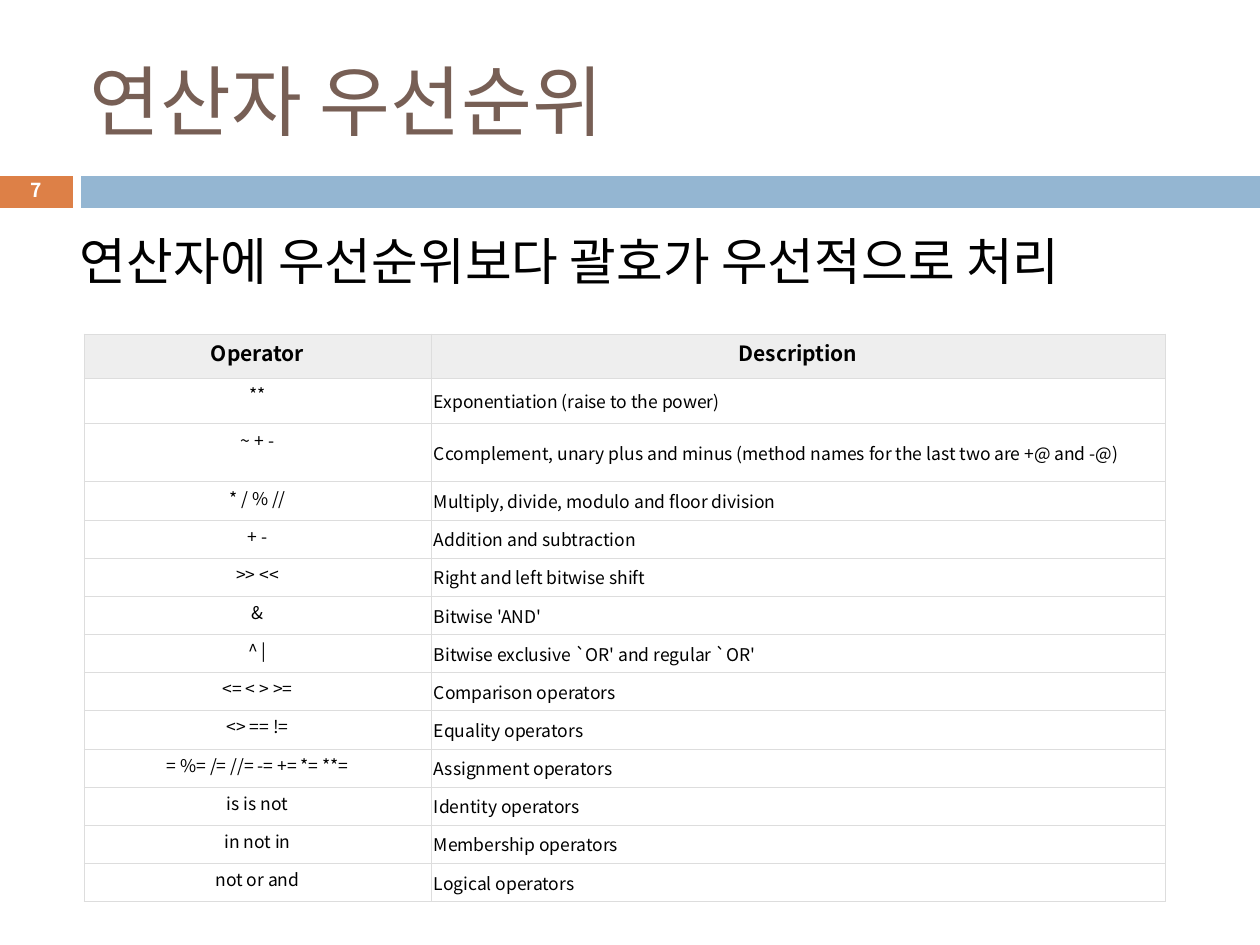
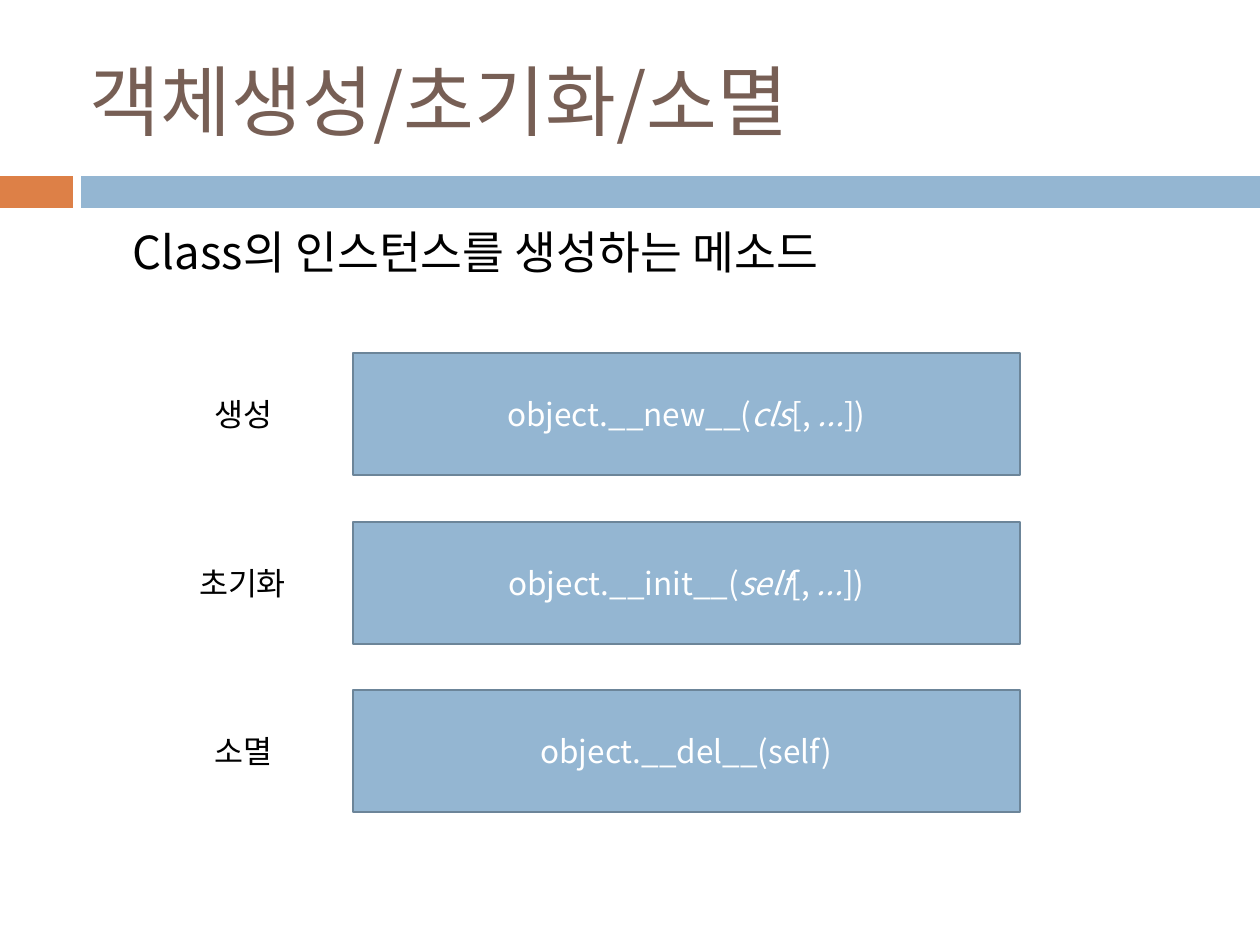
from dataclasses import dataclass

from lxml import etree
from pptx import Presentation
from pptx import util as u
from pptx.dml.color import RGBColor
from pptx.enum import shapes, text
from pptx.oxml import ns

PIXEL = u.Inches(1) / 126
FONT = "Noto Sans CJK KR"
WHITE = RGBColor(0xFF, 0xFF, 0xFF)
BLACK = RGBColor(0x00, 0x00, 0x00)
BROWN = RGBColor(0x77, 0x5F, 0x55)
ORANGE = RGBColor(0xDD, 0x80, 0x47)
BLUE = RGBColor(0x94, 0xB6, 0xD2)
BLUE_EDGE = RGBColor(0x6C, 0x85, 0x99)
HEADER_GRAY = RGBColor(0xEE, 0xEE, 0xEE)
BORDER_GRAY = RGBColor(0xDD, 0xDD, 0xDD)
LEFT, CENTER = text.PP_ALIGN.LEFT, text.PP_ALIGN.CENTER
TOP, MIDDLE = text.MSO_ANCHOR.TOP, text.MSO_ANCHOR.MIDDLE


@dataclass(frozen=True)
class Box:
    left: int
    top: int
    width: int
    height: int

    def emu(self) -> tuple:
        return tuple(px(value) for value in (self.left, self.top, self.width, self.height))


@dataclass(frozen=True)
class Style:
    size: int
    color: RGBColor = BLACK
    bold: bool = False
    align: int = LEFT
    anchor: int = TOP
    wrap: bool = True


@dataclass(frozen=True)
class Method:
    label: str
    label_left: int
    label_width: int
    signature: tuple


TITLE_BOX = Box(84, 32, 1124, 136)
BANDS = ((Box(0, 176, 73, 32), ORANGE), (Box(81, 176, 1179, 32), BLUE))
TITLE = Style(44, BROWN, anchor=MIDDLE)
PAGE_NUMBER = Style(11, WHITE, bold=True, align=CENTER, anchor=MIDDLE, wrap=False)
HEADER_CELL = Style(12, bold=True, align=CENTER)
OPERATOR_CELL = Style(10, align=CENTER)
DESCRIPTION_CELL = Style(10, anchor=MIDDLE)
SIGNATURE = Style(18, WHITE, align=CENTER, anchor=MIDDLE)
LABEL = Style(18, wrap=False)

TABLE_BOX = Box(84, 334, 1081, 568)
COLUMN_WIDTHS = (347, 734)
FIRST_ROW_HEIGHTS = (44, 46, 58)
ROW_HEIGHT = 38
OPERATORS = (
    ("Operator", "Description"),
    ("**", "Exponentiation (raise to the power)"),
    ("~ + -", "Ccomplement, unary plus and minus "
              "(method names for the last two are +@ and -@)"),
    ("* / % //", "Multiply, divide, modulo and floor division"),
    ("+ -", "Addition and subtraction"),
    (">> <<", "Right and left bitwise shift"),
    ("&", "Bitwise 'AND'"),
    ("^ |", "Bitwise exclusive `OR' and regular `OR'"),
    ("<= < > >=", "Comparison operators"),
    ("<> == !=", "Equality operators"),
    ("= %= /= //= -= += *= **=", "Assignment operators"),
    ("is is not", "Identity operators"),
    ("in not in", "Membership operators"),
    ("not or and", "Logical operators"),
)

METHOD_TOP, METHOD_PITCH = 353, 168.5
METHODS = (
    Method("생성", 209, 77, ("object.__new__(", "cls", "[,\u00a0", "...", "])")),
    Method("초기화", 193, 108, ("object.__init__(", "self", "[,\u00a0", "...", "])")),
    Method("소멸", 209, 77, ("object.__del__(self)",)),
)


def px(value: float) -> int:
    return round(value * PIXEL)


def format_run(run, style: Style, italic: bool = False) -> None:
    font = run.font
    font.name = FONT
    font.size = u.Pt(style.size)
    font.bold = style.bold
    font.italic = italic
    font.color.rgb = style.color
    east_asian = etree.SubElement(run._r.get_or_add_rPr(), ns.qn("a:ea"))
    east_asian.set("typeface", FONT)


def format_frame(frame, style: Style) -> None:
    frame.margin_left = frame.margin_right = px(6)
    frame.margin_top = frame.margin_bottom = px(6)
    frame.word_wrap = style.wrap
    frame.auto_size = text.MSO_AUTO_SIZE.NONE
    frame.vertical_anchor = style.anchor
    paragraph = frame.paragraphs[0]
    paragraph.alignment = style.align
    for run in paragraph.runs:
        format_run(run, style)


def add_text(slide, box: Box, content: str, style: Style):
    shape = slide.shapes.add_textbox(*box.emu())
    shape.text_frame.text = content
    format_frame(shape.text_frame, style)
    return shape.text_frame.paragraphs[0]


def add_lead(slide, box: Box, content: str, size: int, indent: int, before: int) -> None:
    paragraph = add_text(slide, box, content, Style(size))
    paragraph.space_before = u.Pt(before)
    properties = paragraph._p.get_or_add_pPr()
    properties.set("marL", str(px(indent)))
    properties.set("indent", "0")


def add_rectangle(slide, box: Box, fill: RGBColor):
    shape = slide.shapes.add_shape(shapes.MSO_SHAPE.RECTANGLE, *box.emu())
    shape.shadow.inherit = False
    shape.fill.solid()
    shape.fill.fore_color.rgb = fill
    shape.line.fill.background()
    return shape


def add_titled_slide(presentation, heading: str):
    slide = presentation.slides.add_slide(presentation.slide_layouts[5])
    for box, color in BANDS:
        add_rectangle(slide, box, color)
    title = slide.shapes.title
    title.left, title.top, title.width, title.height = TITLE_BOX.emu()
    title.text_frame.text = heading
    format_frame(title.text_frame, TITLE)
    return slide


def add_borders(cell) -> None:
    properties = cell._tc.get_or_add_tcPr()
    for position, side in enumerate(("a:lnL", "a:lnR", "a:lnT", "a:lnB")):
        line = etree.Element(ns.qn(side), w=str(u.Pt(0.6)))
        fill = etree.SubElement(line, ns.qn("a:solidFill"))
        etree.SubElement(fill, ns.qn("a:srgbClr"), val=str(BORDER_GRAY))
        properties.insert(position, line)


def fill_cell(cell, content: str, style: Style) -> None:
    cell.text_frame.text = content
    cell.margin_left = cell.margin_right = px(3)
    cell.margin_top = cell.margin_bottom = px(3)
    cell.vertical_anchor = style.anchor
    paragraph = cell.text_frame.paragraphs[0]
    paragraph.alignment = style.align
    format_run(paragraph.runs[0], style)
    if style is HEADER_CELL:
        cell.fill.solid()
        cell.fill.fore_color.rgb = HEADER_GRAY
    else:
        cell.fill.background()
    add_borders(cell)


def add_operator_table(slide) -> None:
    frame = slide.shapes.add_table(len(OPERATORS), len(COLUMN_WIDTHS), *TABLE_BOX.emu())
    table = frame.table
    table.first_row = table.horz_banding = False
    for column, width in zip(table.columns, COLUMN_WIDTHS):
        column.width = px(width)
    rest = (TABLE_BOX.height - sum(FIRST_ROW_HEIGHTS)) / (len(OPERATORS) - len(FIRST_ROW_HEIGHTS))
    for index, entries in enumerate(OPERATORS):
        first = index < len(FIRST_ROW_HEIGHTS)
        table.rows[index].height = px(FIRST_ROW_HEIGHTS[index] if first else rest)
        styles = (OPERATOR_CELL, DESCRIPTION_CELL) if index else (HEADER_CELL, HEADER_CELL)
        for column, (content, style) in enumerate(zip(entries, styles)):
            fill_cell(table.cell(index, column), content, style)


def add_method(slide, method: Method, top: int) -> None:
    shape = add_rectangle(slide, Box(353, top, 667, 122), BLUE)
    shape.line.color.rgb = BLUE_EDGE
    shape.line.width = u.Pt(1.5)
    format_frame(shape.text_frame, SIGNATURE)
    for index, part in enumerate(method.signature):
        run = shape.text_frame.paragraphs[0].add_run()
        run.text = part
        format_run(run, SIGNATURE, italic=index % 2 == 1)
    add_text(slide, Box(method.label_left, top + 36, method.label_width, 50), method.label, LABEL)


def build_precedence_slide(presentation) -> None:
    slide = add_titled_slide(presentation, "연산자 우선순위")
    add_operator_table(slide)
    add_lead(slide, Box(63, 224, 1134, 164),
             "연산자에 우선순위보다 괄호가 우선적으로 처리", size=29, indent=11, before=7)
    number = add_text(slide, Box(23, 173, 27, 38), "7", PAGE_NUMBER)
    number.line_spacing = 0.8


def build_lifecycle_slide(presentation) -> None:
    slide = add_titled_slide(presentation, "객체생성/초기화/소멸")
    add_lead(slide, Box(64, 218, 1134, 126),
             "Class의 인스턴스를 생성하는 메소드", size=26, indent=63, before=5)
    for index, method in enumerate(METHODS):
        add_method(slide, method, round(METHOD_TOP + index * METHOD_PITCH))


def main() -> None:
    presentation = Presentation()
    presentation.slide_width, presentation.slide_height = px(1260), px(945)
    build_precedence_slide(presentation)
    build_lifecycle_slide(presentation)
    presentation.save("out.pptx")


main()
